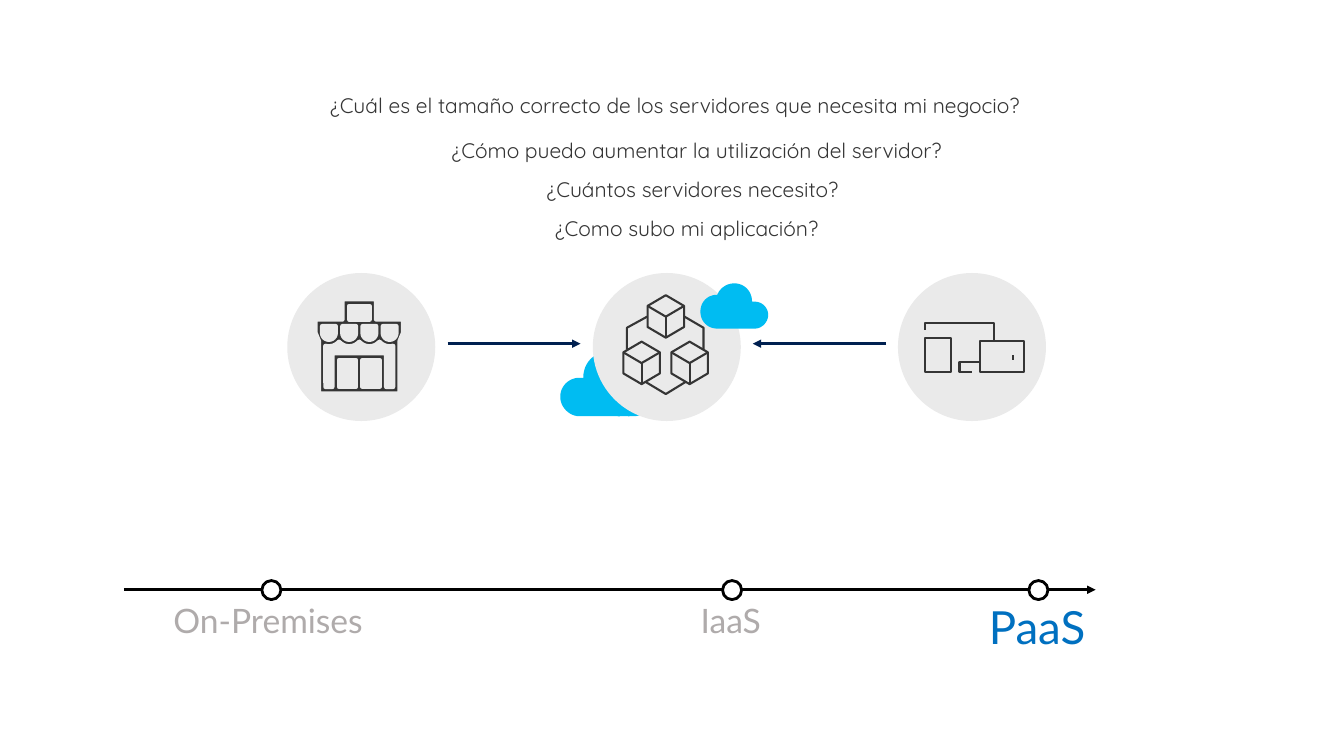
import math

import lxml.etree
import pptx
import pptx.dml.color
import pptx.enum.shapes
import pptx.enum.text
import pptx.oxml.ns
import pptx.util

Cm = pptx.util.Cm
Pt = pptx.util.Pt
qn = pptx.oxml.ns.qn
color = pptx.dml.color.RGBColor.from_string
OVAL = pptx.enum.shapes.MSO_SHAPE.OVAL
RECTANGLE = pptx.enum.shapes.MSO_SHAPE.RECTANGLE
STRAIGHT = pptx.enum.shapes.MSO_CONNECTOR.STRAIGHT
DARK, DISC, CLOUD, NAVY = "353535", "EAEAEA", "00BCF2", "002050"


def paint(shape, fill=None, line=None, width=1.5, arrow=False):
    """Set fill, line and arrowhead, and switch the shadow off."""
    if fill:
        shape.fill.solid()
        shape.fill.fore_color.rgb = color(fill)
    elif hasattr(shape, "fill"):
        shape.fill.background()
    if line:
        shape.line.color.rgb = color(line)
        shape.line.width = Pt(width)
    else:
        shape.line.fill.background()
    properties = shape.element.spPr
    if arrow:
        lxml.etree.SubElement(properties.find(qn("a:ln")), qn("a:tailEnd"), type="triangle")
    lxml.etree.SubElement(properties, qn("a:effectLst"))


def trace(shapes, contours, closed=True):
    """Build one freeform from lists of points in centimetres."""
    builder = None
    for contour in contours:
        points = [(Cm(x), Cm(y)) for x, y in contour]
        if builder is None:
            builder = shapes.build_freeform(*points[0])
        else:
            builder.move_to(*points[0])
        builder.add_line_segments(points[1:], close=closed)
    return builder.convert_to_shape()


presentation = pptx.Presentation()
presentation.slide_width = Cm(33.87)
presentation.slide_height = Cm(19.05)
slide = presentation.slides.add_slide(presentation.slide_layouts[6])

# Timeline
timeline = slide.shapes.add_connector(STRAIGHT, Cm(3.12), Cm(14.86), Cm(27.61), Cm(14.86))
paint(timeline, line="000000", width=2, arrow=True)
for left in (6.6, 18.21, 25.93):
    milestone = slide.shapes.add_shape(OVAL, Cm(left), Cm(14.63), Cm(0.48), Cm(0.48))
    paint(milestone, "FFFFFF", "000000", 2)

# Clouds: each curve gives two control points and an end point
cloud_curves = [
    ((0.58, 0.28), (0.86, 0), (1.22, 0)),
    ((1.47, 0), (1.73, 0.15), (1.83, 0.41)),
    ((2.18, 0.41), (2.44, 0.66), (2.44, 1.02)),
    ((2.44, 1.37), (2.18, 1.63), (1.83, 1.63)),
    ((1.83, 1.63), (0.48, 1.63), (0.48, 1.63)),
    ((0.23, 1.63), (0, 1.4), (0, 1.14)),
    ((0, 0.86), (0.23, 0.66), (0.48, 0.66)),
]
cloud_points = [(0.58, 0.66)]
for curve in cloud_curves:
    corners = (cloud_points[-1],) + curve
    for step in range(1, 13):
        t = step / 12
        weights = ((1 - t) ** 3, 3 * t * (1 - t) ** 2, 3 * t * t * (1 - t), t ** 3)
        cloud_points.append(tuple(
            sum(weight * corner[axis] for weight, corner in zip(weights, corners))
            for axis in (0, 1)))
back_cloud = trace(slide.shapes, [[(14.12 + x, 8.86 + y) for x, y in cloud_points]])
paint(back_cloud, CLOUD)

# Icon groups, each on a disc
icons = []
for left in (7.24, 14.94, 22.63):
    icon = slide.shapes.add_group_shape().shapes
    paint(icon.add_shape(OVAL, Cm(left), Cm(6.88), Cm(3.73), Cm(3.73)), DISC)
    icons.append(icon)
shop, cubes, devices = icons

# Shop, on a grid of 13 by 14 units
shop_contours = [
    [(0.5, 14), (12.5, 14), (12.5, 6.2), (13, 5), (13, 3), (9, 3),
     (9, 0), (4, 0), (4, 3), (0, 3), (0, 5), (0.5, 6.2)],
    [(5, 1), (8, 1), (8, 3), (5, 3)],
    [(3.5, 9), (6, 9), (6, 13), (3.5, 13)],
    [(7, 9), (9.5, 9), (9.5, 13), (7, 13)],
]
wall = [(11.5, 13), (10.5, 13), (10.5, 8), (2.5, 8), (2.5, 13), (1.5, 13)]
for index in range(4):
    center = 2 + 3 * index
    start = 105 if index == 0 else 139
    end = 75 if index == 3 else 41
    for step in range(9):
        angle = math.radians(start + (end - start) * step / 8)
        wall.append((center + 2 * math.cos(angle), 5 + 2 * math.sin(angle)))
    awning = [(center - 1, 4), (center + 1, 4)]
    for degrees in range(0, 181, 15):
        angle = math.radians(degrees)
        awning.append((center + math.cos(angle), 5 + math.sin(angle)))
    shop_contours.append(awning)
shop_contours.append(wall)
shop_outline = trace(shop, [[(7.95 + 0.17 * x, 7.54 + 0.17 * y) for x, y in contour]
                            for contour in shop_contours])
paint(shop_outline, DARK, DISC, 3.25)

# Three cubes and the links between them
for x, y in ((17.38, 8.61), (16.17, 8.61), (16.78, 7.44)):
    left, right = x - 0.46, x + 0.46
    hexagon = [(left, y + 0.27), (x, y), (right, y + 0.27),
               (right, y + 0.8), (x, y + 1.07), (left, y + 0.8)]
    paint(trace(cubes, [hexagon]), line=DARK)
    top_edge = [(right, y + 0.27), (x, y + 0.54), (left, y + 0.27)]
    paint(trace(cubes, [top_edge], closed=False), line=DARK)
    edge = cubes.add_connector(STRAIGHT, Cm(x), Cm(y + 0.54), Cm(x), Cm(y + 1.07))
    paint(edge, line=DARK)

# Screens of the devices
for left, top, width, height in ((23.32, 8.51, 0.64, 0.86), (24.69, 8.59, 1.12, 0.79)):
    screen = devices.add_shape(RECTANGLE, Cm(left), Cm(top), Cm(width), Cm(height))
    paint(screen, line=DARK)
button = devices.add_connector(STRAIGHT, Cm(25.53), Cm(9.07), Cm(25.53), Cm(8.94))
paint(button, line=DARK, width=2)

open_lines = [
    (cubes, [(17.27, 9.63), (16.78, 9.93), (16.28, 9.63)]),
    (cubes, [(17.25, 7.98), (17.73, 8.26), (17.73, 8.81)]),
    (cubes, [(15.8, 8.81), (15.8, 8.26), (16.31, 7.98)]),
    (devices, [(24.69, 9.12), (24.18, 9.12), (24.18, 9.37), (24.49, 9.37)]),
    (devices, [(23.32, 8.31), (23.32, 8.13), (25.04, 8.13), (25.04, 8.59)]),
]
for icon, points in open_lines:
    paint(trace(icon, [points], closed=False), line=DARK)

# Arrows towards the middle, and the mirrored front cloud
for start, end in ((11.28, 14.63), (22.33, 18.97)):
    arrow = slide.shapes.add_connector(STRAIGHT, Cm(start), Cm(8.66), Cm(end), Cm(8.66))
    paint(arrow, line=NAVY, width=2, arrow=True)
front_cloud = trace(slide.shapes, [[(19.36 - 0.7 * x, 7.14 + 0.7 * y) for x, y in cloud_points]])
paint(front_cloud, CLOUD)

# Questions
questions = [
    ("¿Cuál es el tamaño correcto de los servidores que necesita mi negocio?", 7.09, 2.21, 19.84),
    ("¿Cómo puedo aumentar la utilización del servidor?", 9.65, 3.33, 15.82),
    ("¿Cuántos servidores necesito?", 12.09, 4.32, 10.72),
    ("¿Como subo mi aplicación?", 12.67, 5.31, 9.27),
]
for text, left, top, width in questions:
    question = slide.shapes.add_textbox(Cm(left), Cm(top), Cm(width), Cm(0.89))
    question.text_frame.word_wrap = True
    paragraph = question.text_frame.paragraphs[0]
    paragraph.alignment = pptx.enum.text.PP_ALIGN.CENTER
    run = paragraph.add_run()
    run.text = text
    run.font.name = "Quicksand"
    run.font.size = Pt(15)
    run.font.color.rgb = color(DARK)

# Timeline labels
labels = [
    ("On-Premises", 3.86, 5.92, 1.75, 24, "AFABAB"),
    ("IaaS", 17.15, 2.62, 1.75, 24, "AFABAB"),
    ("PaaS", 24.41, 3.53, 2.11, 32.6, "0070C0"),
]
for text, left, width, height, size, text_color in labels:
    label = slide.shapes.add_textbox(Cm(left), Cm(14.83), Cm(width), Cm(height))
    frame = label.text_frame
    frame.word_wrap = False
    frame.margin_left = frame.margin_right = Cm(0.51)
    frame.margin_top = frame.margin_bottom = Cm(0.41)
    paragraph = frame.paragraphs[0]
    paragraph.line_spacing = 0.9
    paragraph.space_after = Pt(6)
    run = paragraph.add_run()
    run.text = text
    run.font.name = "Lato"
    run.font.size = Pt(size)
    run.font.color.rgb = color(text_color)

presentation.save("out.pptx")
